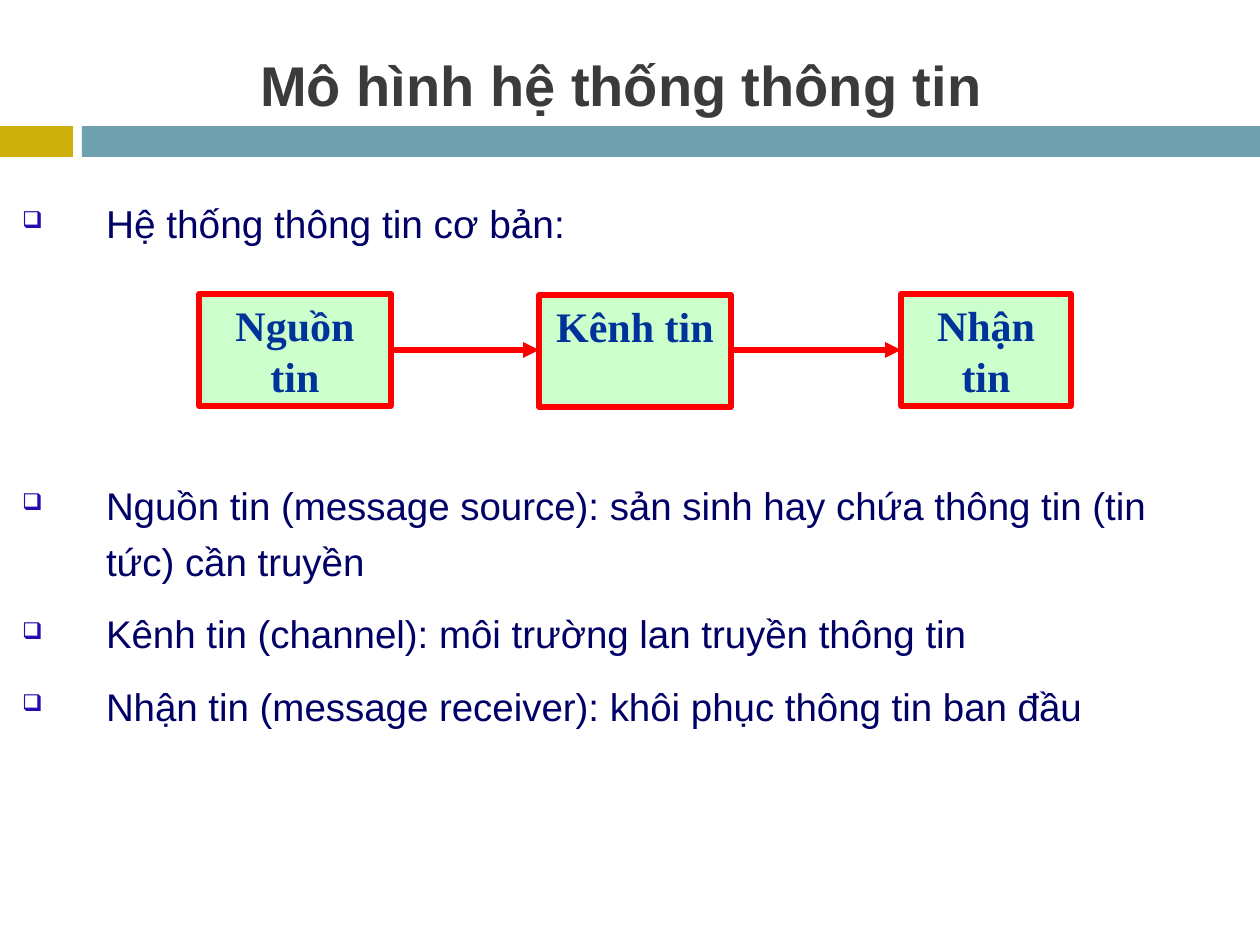
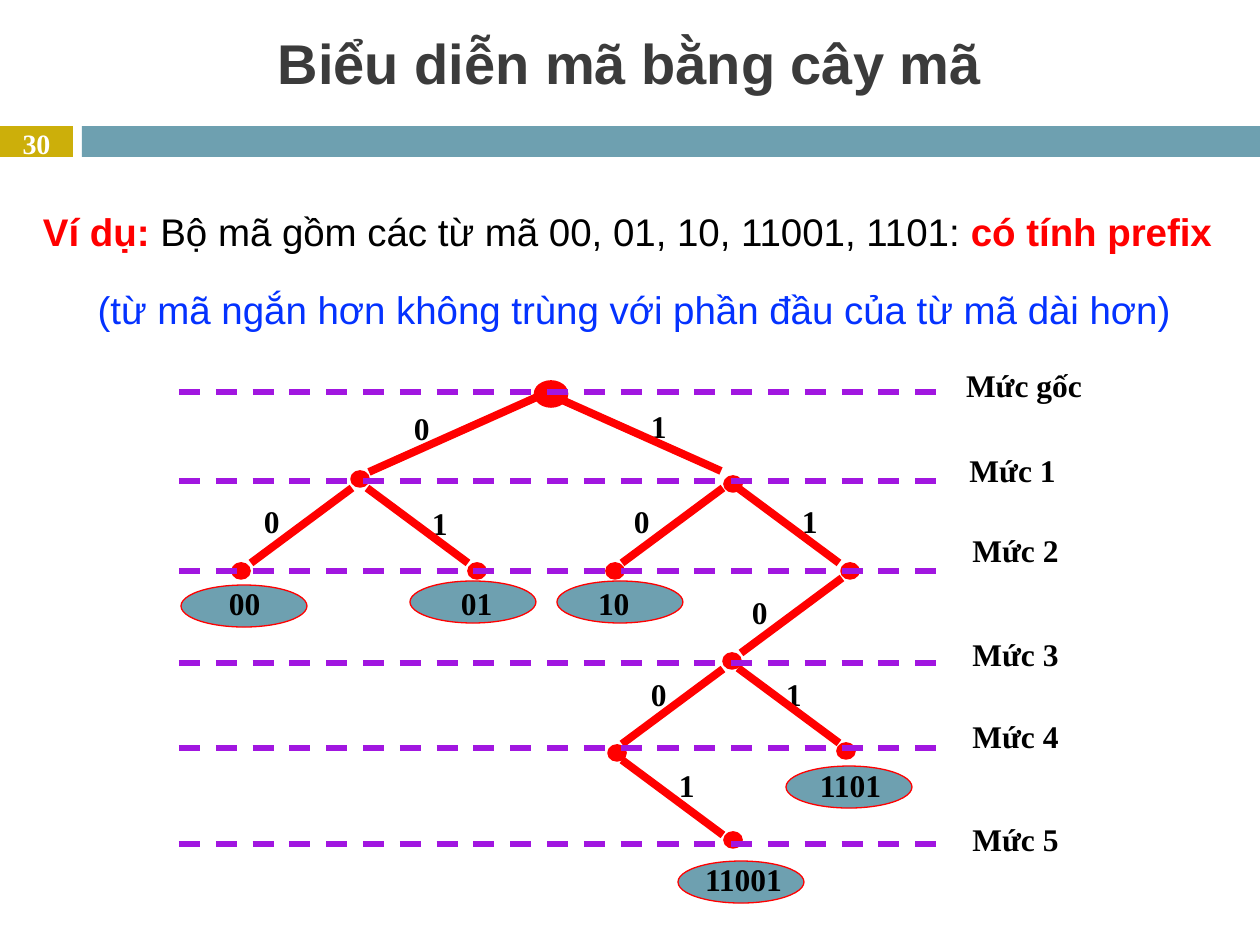
from dataclasses import dataclass

from lxml import etree
from pptx import Presentation
from pptx import util as u
from pptx.dml.color import RGBColor
from pptx.enum import dml, shapes, text
from pptx.oxml import ns

SCALE = 914400 / 126


@dataclass(frozen=True)
class Theme:
    sans: str = "Arial"
    serif: str = "Times New Roman"
    gold: str = "CCAF0A"
    teal: str = "6EA0B0"
    title: str = "3B3B3B"
    navy: str = "000066"
    bullet: str = "2909AF"
    red: str = "FF0000"
    mint: str = "CCFFCC"
    block_text: str = "003399"
    blue: str = "0432FF"
    purple: str = "A116E0"
    black: str = "000000"
    white: str = "FFFFFF"
    title_size: float = 32
    block_size: float = 24
    lead_size: float = 22.2
    body_size: float = 22
    tree_size: float = 18
    number_size: float = 16


THEME = Theme()
TITLE = (THEME.sans, THEME.title_size, THEME.title, True)
LEAD = (THEME.sans, THEME.lead_size, THEME.navy, False)
BODY = (THEME.sans, THEME.body_size, THEME.navy, False)
BLOCK = (THEME.serif, THEME.block_size, THEME.block_text, True)
TREE = (THEME.serif, THEME.tree_size, THEME.black, True)
NUMBER = (THEME.serif, THEME.number_size, THEME.white, True)
STRONG = (THEME.sans, THEME.body_size, THEME.red, True)
PLAIN = (THEME.sans, THEME.body_size, THEME.black, False)
REMARK = (THEME.sans, THEME.body_size, THEME.blue, False)

CENTER = text.PP_ALIGN.CENTER
MIDDLE = text.MSO_ANCHOR.MIDDLE
RECT = shapes.MSO_SHAPE.RECTANGLE
OVAL = shapes.MSO_SHAPE.OVAL
DOT = shapes.MSO_SHAPE.FLOWCHART_CONNECTOR
INSET = 12
BODY_TOP = 11
HANG = 84

BANDS = [((0, 126, 73, 31), THEME.gold), ((82, 126, 1178, 31), THEME.teal)]

INTRO = ["Hệ thống thông tin cơ bản:"]
BLOCKS = [
    ("Nguồn tin", (199, 294, 192, 112)),
    ("Kênh tin", (539, 295, 192, 112)),
    ("Nhận tin", (901, 294, 170, 112)),
]
ARROW_Y = 350
DEFINITIONS = [
    "Nguồn tin (message source): sản sinh hay chứa thông tin (tin tức) cần truyền",
    "Kênh tin (channel): môi trường lan truyền thông tin",
    "Nhận tin (message receiver): khôi phục thông tin ban đầu",
]

EXAMPLE = [
    [("Ví dụ: ", STRONG),
     ("Bộ mã gồm các từ mã 00, 01, 10, 11001, 1101: ", PLAIN),
     ("có tính prefix", STRONG)],
    [("(từ mã ngắn hơn không trùng với phần đầu của từ mã dài hơn)", REMARK)],
]
ROOT = (551, 394)
BRANCHES = {
    "0": {"node": (360, 479), "start": (537, 397), "digit": (402, 403)},
    "1": {"node": (733, 484), "start": (553, 396), "digit": (639, 401)},
    "00": {"node": (241, 571), "start": (352, 488), "digit": (252, 496)},
    "01": {"node": (477, 571), "start": (367, 488), "digit": (420, 498)},
    "10": {"node": (615, 571), "start": (723, 488), "digit": (622, 496)},
    "11": {"node": (850, 571), "start": (738, 488), "digit": (790, 496)},
    "110": {"node": (732, 661), "start": (842, 578), "digit": (740, 587)},
    "1100": {"node": (617, 753), "start": (723, 669), "digit": (639, 669)},
    "1101": {"node": (846, 751), "start": (738, 668), "digit": (774, 669)},
    "11001": {"node": (733, 840), "start": (622, 760), "digit": (667, 760)},
}
CODE_WORDS = [
    ("1101", (786, 766), (808, 760)),
    ("11001", (678, 861), (693, 854)),
    ("10", (557, 581), (586, 578)),
    ("01", (410, 581), (449, 578)),
    ("00", (181, 585), (217, 578)),
]
LEVELS = [
    ("Mức gốc", (945, 360, 158, 62), 392),
    ("Mức 1", (945, 445, 135, 62), 481),
    ("Mức 2", (948, 525, 135, 62), 571),
    ("Mức 3", (948, 629, 135, 62), 663),
    ("Mức 4", (948, 711, 135, 62), 748),
    ("Mức 5", (948, 814, 135, 62), 844),
]
LEVEL_LEFT, LEVEL_RIGHT = 179, 948
EDGE_DROP, ROOT_SPAN, EDGE_SPAN = 75, 168, 101


def emu(*lengths):
    return [round(length * SCALE) for length in lengths]


def color(value):
    return RGBColor.from_string(value)


def write(box, paragraphs, align=None, anchor=text.MSO_ANCHOR.TOP, top=6):
    frame = box.text_frame
    frame.word_wrap = True
    frame.vertical_anchor = anchor
    frame.margin_left, frame.margin_right, frame.margin_top, frame.margin_bottom = emu(INSET, INSET, top, 6)
    frame.text = "\n".join("".join(words for words, _ in spans) for spans in paragraphs)
    for para, spans in zip(frame.paragraphs, paragraphs):
        para.alignment = align or text.PP_ALIGN.LEFT
        para.text = ""
        for words, style in spans:
            span = para.add_run()
            span.text = words
            font = span.font
            font.name, font.bold = style[0], style[3]
            font.size = u.Pt(style[1])
            font.color.rgb = color(style[2])
    return frame.paragraphs


def add_text(page, place, paragraphs, **options):
    return write(page.shapes.add_textbox(*emu(*place)), paragraphs, **options)


def add_shape(page, kind, place, fill, line=None, width=1):
    box = page.shapes.add_shape(kind, *emu(*place))
    box.shadow.inherit = False
    box.fill.solid()
    box.fill.fore_color.rgb = color(fill)
    if line:
        box.line.color.rgb = color(line)
        box.line.width = u.Pt(width)
    else:
        box.line.fill.background()
    return box


def add_line(page, start, end, stroke, width, dashed=False, arrow=False):
    line = page.shapes.add_connector(shapes.MSO_CONNECTOR.STRAIGHT, *emu(*start, *end))
    line.line.color.rgb = color(stroke)
    line.line.width = u.Pt(width)
    if dashed:
        line.line.dash_style = dml.MSO_LINE.DASH
    if arrow:
        etree.SubElement(line.line._get_or_add_ln(), ns.qn("a:tailEnd"), type="triangle")
    etree.SubElement(line._element.spPr, ns.qn("a:effectLst"))


def set_spacing(paragraphs, before, line_spacing):
    for index, para in enumerate(paragraphs):
        para.line_spacing = line_spacing
        if index:
            para.space_before = u.Pt(before)


def add_bullets(page, place, items, style, line_spacing=1.0):
    paragraphs = add_text(page, place, [[(item, style)] for item in items], top=BODY_TOP)
    hang = emu(HANG)[0]
    for para in paragraphs:
        props = para._p.get_or_add_pPr()
        props.set("marL", str(hang))
        props.set("indent", str(-hang))
        tint = etree.SubElement(props, ns.qn("a:buClr"))
        etree.SubElement(tint, ns.qn("a:srgbClr"), val=THEME.bullet)
        etree.SubElement(props, ns.qn("a:buSzPct"), val="60000")
        etree.SubElement(props, ns.qn("a:buChar"), char="❑")
    set_spacing(paragraphs, 10, line_spacing)


def add_page(deck, title, title_place):
    page = deck.slides.add_slide(deck.slide_layouts[6])
    for place, fill in BANDS:
        add_shape(page, RECT, place, fill)
    add_text(page, title_place, [[(title, TITLE)]], align=CENTER, anchor=MIDDLE)
    return page


def add_dot(page, center, width, height):
    place = (center[0] - width / 2, center[1] - height / 2, width, height)
    add_shape(page, DOT, place, THEME.red, THEME.red, 1.5)


def build_model(deck):
    page = add_page(deck, "Mô hình hệ thống thông tin", (44, 21, 1155, 126))
    add_bullets(page, (10, 189, 1104, 126), INTRO, LEAD)
    for name, place in BLOCKS:
        box = add_shape(page, RECT, place, THEME.mint, THEME.red, 3)
        write(box, [[(name, BLOCK)]], align=CENTER)
    for (_, source), (_, target) in zip(BLOCKS, BLOCKS[1:]):
        start = (source[0] + source[2], ARROW_Y)
        add_line(page, start, (target[0], ARROW_Y), THEME.red, 3, arrow=True)
    add_bullets(page, (10, 462, 1155, 305), DEFINITIONS, BODY, 1.2)


def add_level_label(page, name, place):
    box = add_shape(page, RECT, place, THEME.white)
    write(box, [[(name, TREE)]], align=CENTER)


def build_tree(deck):
    page = add_page(deck, "Biểu diễn mã bằng cây mã", (0, 10, 1260, 105))
    add_text(page, (0, 126, 73, 34), [[("30", NUMBER)]], align=CENTER, anchor=MIDDLE)
    example = add_text(page, (31, 188, 1207, 698), EXAMPLE, top=BODY_TOP)
    example[1].alignment = CENTER
    set_spacing(example, 12.5, 1.2)

    add_level_label(page, *LEVELS[0][:2])
    for _, oval, _ in CODE_WORDS:
        add_shape(page, OVAL, (*oval, 126, 42), THEME.teal, THEME.red, 0.75)
    for word, _, corner in CODE_WORDS:
        add_text(page, (*corner, 142, 45), [[(word, TREE)]])
    for code, branch in BRANCHES.items():
        box = add_shape(page, RECT, (*branch["digit"], 50, 45), THEME.white)
        write(box, [[(code[-1], TREE)]])

    for code, branch in BRANCHES.items():
        x, y = branch["start"]
        span = ROOT_SPAN if len(code) == 1 else EDGE_SPAN
        end = (x + span if code[-1] == "1" else x - span, y + EDGE_DROP)
        add_line(page, (x, y), end, THEME.red, 4.5)
    add_dot(page, ROOT, 32, 25)
    for branch in BRANCHES.values():
        add_dot(page, branch["node"], 17, 15)

    for _, _, y in LEVELS:
        add_line(page, (LEVEL_LEFT, y), (LEVEL_RIGHT, y), THEME.purple, 3, dashed=True)
    for name, place, _ in LEVELS[1:]:
        add_level_label(page, name, place)


def main():
    deck = Presentation()
    deck.slide_width, deck.slide_height = emu(1260, 945)
    build_model(deck)
    build_tree(deck)
    deck.save("out.pptx")


if __name__ == "__main__":
    main()
